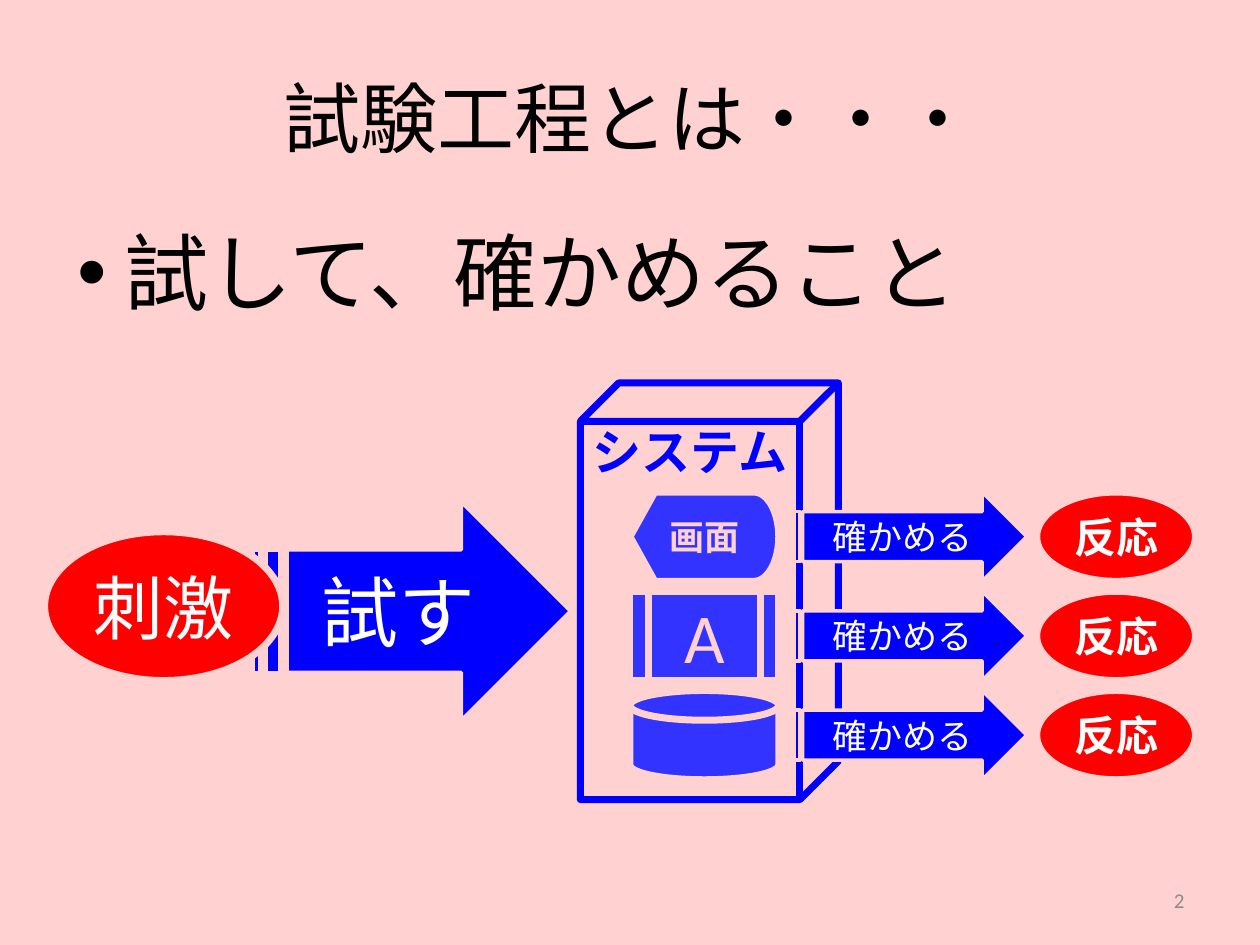
from pptx import Presentation
from pptx import util as u
from pptx.dml.color import RGBColor
from pptx.enum import shapes, text

COLORS = {"back": "FFD1D1", "black": "000000", "grey": "8C8C8C", "white": "FFFFFF",
          "blue": "0000FF", "part": "3333FF", "red": "FF0000"}
MSO = shapes.MSO_SHAPE
CENTER = text.PP_ALIGN.CENTER


def write(sp, words, size, color, align=None, bold=False):
    """Put one formatted paragraph into a shape."""
    tf = sp.text_frame
    tf.text = words
    p = tf.paragraphs[0]
    p.alignment = align
    font = p.runs[0].font
    font.name, font.size, font.bold = "Calibri", u.Pt(size), bold
    font.color.rgb = RGBColor.from_string(COLORS[color])


def add(kind, box, fill, line, width, label=None):
    """Add a preset shape; box is in cm, label is (words, size, color, bold)."""
    sp = s.shapes.add_shape(kind, *[u.Cm(v) for v in box])
    sp.shadow.inherit = False
    if fill:
        sp.fill.solid()
        sp.fill.fore_color.rgb = RGBColor.from_string(COLORS[fill])
    else:
        sp.fill.background()
    sp.line.color.rgb = RGBColor.from_string(COLORS[line])
    sp.line.width = u.Pt(width)
    if label:
        words, size, color, bold = label
        write(sp, words, size, color, CENTER, bold)
        tf = sp.text_frame
        tf.word_wrap = False
        tf.vertical_anchor = text.MSO_ANCHOR.MIDDLE
        tf.margin_left = tf.margin_right = tf.margin_top = tf.margin_bottom = 0
    return sp


prs = Presentation()
prs.slide_width, prs.slide_height = u.Cm(25.4), u.Cm(19.05)
s = prs.slides.add_slide(prs.slide_layouts[1])
s.background.fill.solid()
s.background.fill.fore_color.rgb = RGBColor.from_string(COLORS["back"])

# Title, body and slide number
title, body = s.placeholders
number = s.shapes.add_textbox(0, 0, 0, 0)
for sp, box in ((title, (1.27, 0.76, 22.86, 3.18)),
                (body, (1.3, 4.32, 22.86, 12.9)),
                (number, (18.2, 17.65, 5.93, 1.01))):
    sp.left, sp.top, sp.width, sp.height = [u.Cm(v) for v in box]
write(title, "試験工程とは・・・", 44, "black", CENTER)
write(body, "試して、確かめること", 48, "black")
write(number, "2", 12, "grey", text.PP_ALIGN.RIGHT)
number.text_frame.word_wrap = True
number.text_frame.vertical_anchor = text.MSO_ANCHOR.MIDDLE

# Parts inside the system
row_tops = [9.92 + 2 * i for i in range(3)]
row_height = 1.8
parts = [(MSO.FLOWCHART_DISPLAY, ("画面", 20, "back", True)),
         (MSO.FLOWCHART_PREDEFINED_PROCESS, ("A", 40, "back", False)),
         (MSO.FLOWCHART_MAGNETIC_DISK, None)]
for top, (kind, label) in zip(row_tops, parts):
    add(kind, (12.7, top, 3, row_height), "part", "back", 4, label)

system = add(MSO.CUBE, (11.7, 7.72, 5.2, 8.4), None, "blue", 4,
             ("システム", 28, "blue", True))
system.adjustments[0] = 0.149
system.text_frame.vertical_anchor = text.MSO_ANCHOR.TOP

# Arrows into and out of the system
arrows = [((5.1, 10.12, 6.4, 4.4), "試す", 44)]
arrows += [((15.9, top, 4.8, row_height), "確かめる", 20) for top in row_tops]
for box, words, size in arrows:
    arrow = add(MSO.STRIPED_RIGHT_ARROW, box, "blue", "back", 2,
                (words, size, "white", False))
    arrow.adjustments[0] = 0.561

# Stimulus and responses
add(MSO.OVAL, (0.9, 10.72, 4.8, 3), "red", "back", 4, ("刺激", 40, "white", False))
for top in row_tops:
    add(MSO.OVAL, (20.9, top, 3.2, row_height), "red", "back", 4,
        ("反応", 24, "white", True))

prs.save("out.pptx")
